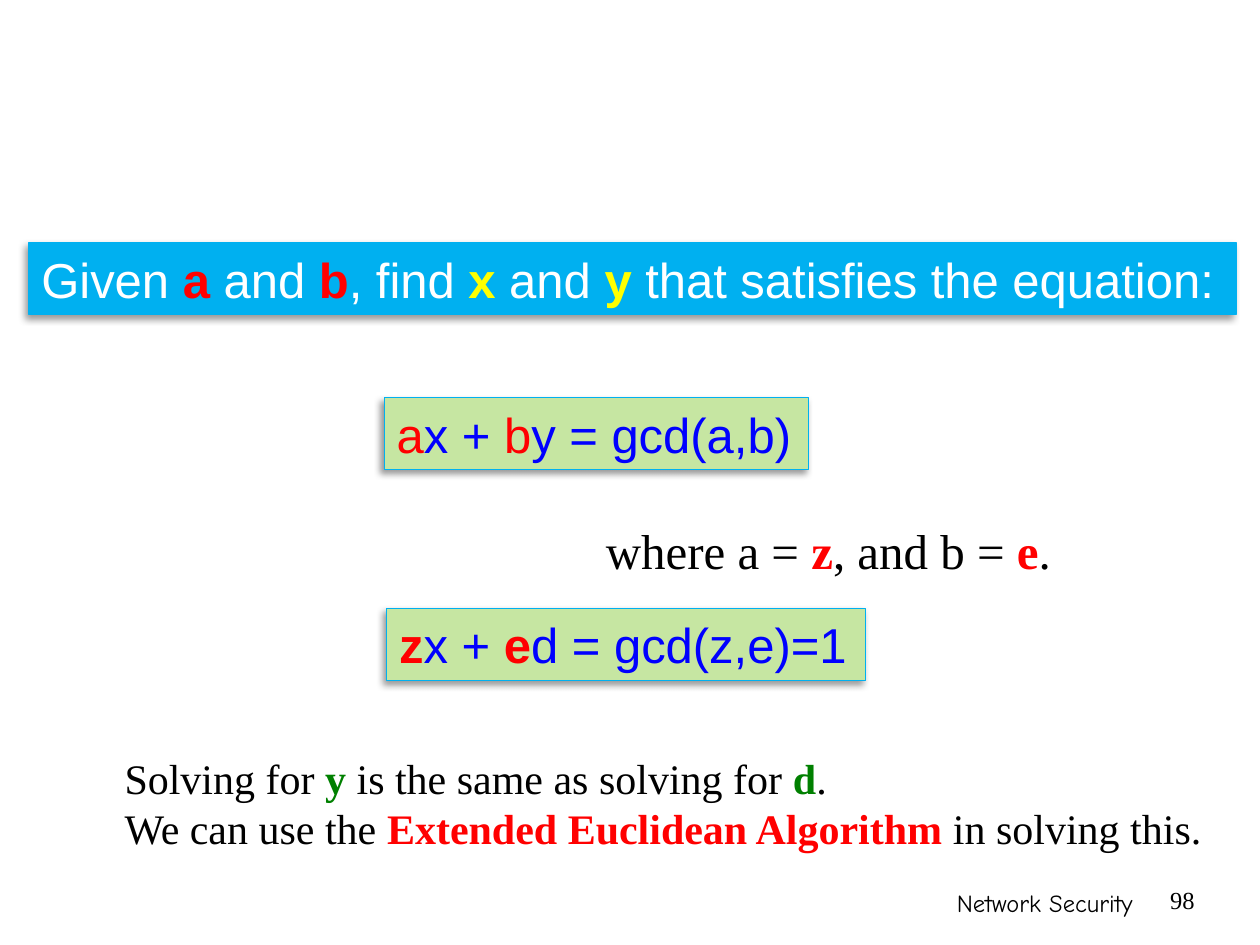
from lxml.etree import SubElement
from pptx import Presentation
from pptx.dml.color import RGBColor as RGB
from pptx.enum.shapes import MSO_SHAPE as Preset
from pptx.enum.text import MSO_AUTO_SIZE as Fit, MSO_ANCHOR as Anchor, PP_ALIGN as Align
from pptx.oxml.ns import qn
from pptx.util import Inches, Pt

THEME = {
    "colours": {"white": "FFFFFF", "black": "000000", "red": "FF0000", "yellow": "FFFF00",
                "blue": "0000FF", "green": "008000", "sky": "00B0F0", "lime": "C6E6A2"},
    "sizes": {"statement": 28, "conclusion": 24, "footer": 14},
    "fonts": {"sans": "Arial", "serif": "Times New Roman", "hand": "Comic Neue"},
    "border": 0.75,
    "shadow": {"blurRad": Pt(4), "dist": Pt(3), "dir": 135 * 60000, "algn": "ctr", "rotWithShape": 0},
    "shadow_alpha": 40,
}

FOOTER = [
    {"at": (59.2, 93.3, 31.7, 4.5), "font": "hand", "size": "footer", "align": Align.RIGHT,
     "lines": [[("Network Security", "black", False)]]},
    {"at": (90.8, 93.3, 5, 4.5), "font": "serif", "size": "footer", "align": Align.RIGHT, "spacing": 0.92,
     "lines": [[("98", "black", False)]]},
]

PROBLEM = [
    {"at": (2.3, 25.7, 95.8, 7.6), "font": "sans", "size": "statement", "fill": "sky",
     "lines": [[("Given ", "white", False), ("a", "red", True), (" and ", "white", False),
                ("b", "red", True), (", find ", "white", False), ("x", "yellow", True),
                (" and ", "white", False), ("y", "yellow", True),
                (" that satisfies the equation:", "white", False)]]},
    {"at": (30.5, 42.1, 33.7, 7.6), "font": "sans", "size": "statement", "fill": "lime",
     "lines": [[("a", "red", False), ("x + ", "blue", False), ("b", "red", False),
                ("y = gcd(a,b)", "blue", False)]]},
    {"at": (47.1, 54.4, 37.7, 7.6), "font": "serif", "size": "statement",
     "lines": [[("where a = ", "black", False), ("z", "red", True), (", and b = ", "black", False),
                ("e", "red", True), (".", "black", False)]]},
    {"at": (30.7, 64.4, 38, 7.6), "font": "sans", "size": "statement", "fill": "lime",
     "lines": [[("z", "red", True), ("x + ", "blue", False), ("e", "red", True),
                ("d = gcd(z,e)=1", "blue", False)]]},
    {"at": (8.9, 78.93, 88.3, 12.1), "font": "serif", "size": "conclusion",
     "lines": [[("Solving for ", "black", False), ("y", "green", True),
                (" is the same as solving for ", "black", False), ("d", "green", True),
                (".", "black", False)],
               [("We can use the ", "black", False), ("Extended Euclidean Algorithm ", "red", True),
                ("in solving this.", "black", False)]]},
]


def apply(target, values):
    for name, value in values.items():
        setattr(target, name, value)


def colour(name):
    return RGB.from_string(THEME["colours"][name])


def decorate(panel, fill):
    panel.shadow.inherit = False
    panel.fill.solid()
    panel.fill.fore_color.rgb = colour(fill)
    panel.line.color.rgb = colour("sky")
    panel.line.width = Pt(THEME["border"])
    effects = panel._element.spPr.find(qn("a:effectLst"))
    shadow = SubElement(effects, qn("a:outerShdw"))
    for name, value in THEME["shadow"].items():
        shadow.set(name, str(value))
    tint = SubElement(shadow, qn("a:srgbClr"), val=THEME["colours"]["black"])
    SubElement(tint, qn("a:alpha"), val=str(THEME["shadow_alpha"] * 1000))


def write(frame, part, wrap):
    apply(frame, {"word_wrap": wrap, "auto_size": Fit.SHAPE_TO_FIT_TEXT, "vertical_anchor": Anchor.TOP})
    for index, line in enumerate(part["lines"]):
        paragraph = frame.add_paragraph() if index else frame.paragraphs[0]
        apply(paragraph, {"alignment": part.get("align", Align.LEFT),
                          "line_spacing": part.get("spacing", 1.0)})
        for words, ink, bold in line:
            run = paragraph.add_run()
            run.text = words
            apply(run.font, {"name": THEME["fonts"][part["font"]],
                             "size": Pt(THEME["sizes"][part["size"]]), "bold": bold})
            run.font.color.rgb = colour(ink)


def place(slide, part, sides, wrap):
    box = [round(share * side / 100) for share, side in zip(part["at"], sides * 2)]
    if "fill" in part:
        panel = slide.shapes.add_shape(Preset.RECTANGLE, *box)
        decorate(panel, part["fill"])
    else:
        panel = slide.shapes.add_textbox(*box)
    write(panel.text_frame, part, wrap)


def main():
    deck = Presentation()
    apply(deck, {"slide_width": Inches(10), "slide_height": Inches(7.5)})
    slide = deck.slides.add_slide(deck.slide_layouts[6])
    sides = (deck.slide_width, deck.slide_height)
    for parts, wrap in ((FOOTER, True), (PROBLEM, False)):
        for part in parts:
            place(slide, part, sides, wrap)
    deck.save("out.pptx")


if __name__ == "__main__":
    main()
